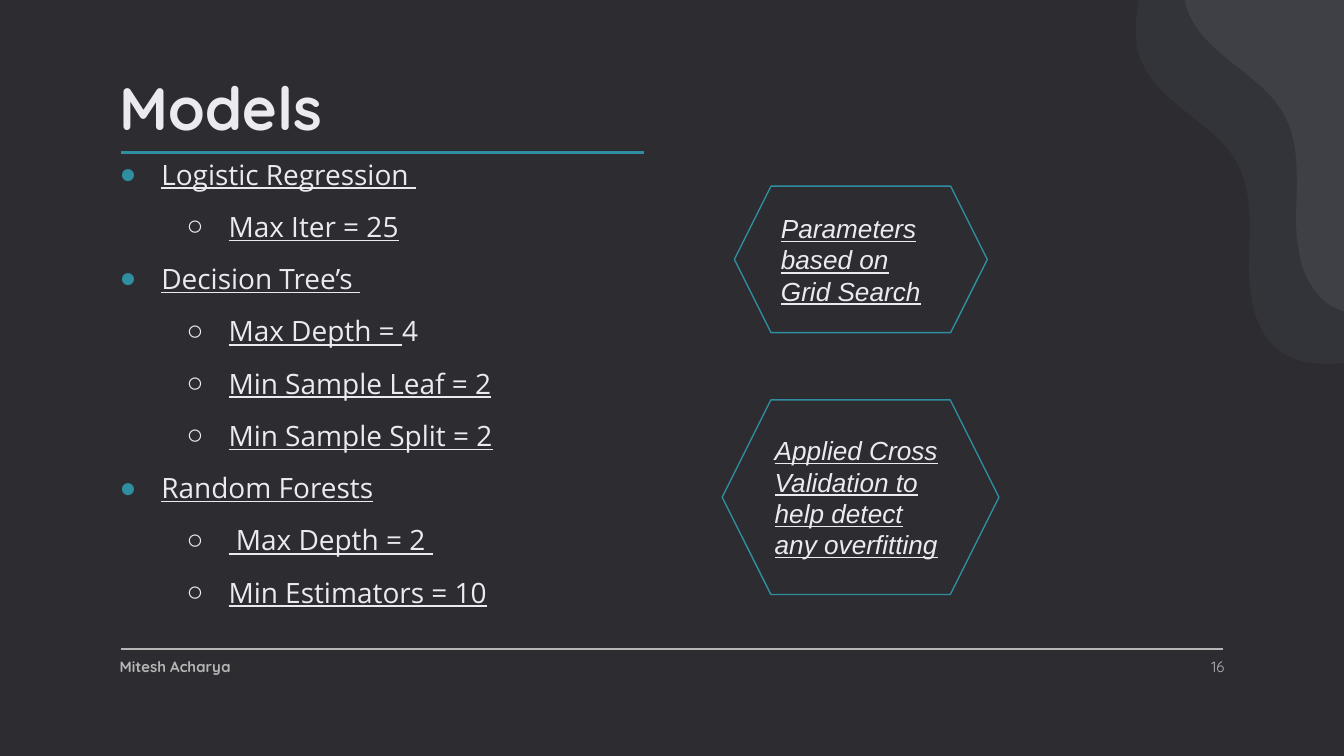
from lxml.etree import SubElement
from pptx import Presentation
from pptx.dml.color import RGBColor
from pptx.enum.shapes import MSO_CONNECTOR as CONN, MSO_SHAPE as SHAPE
from pptx.enum.text import MSO_ANCHOR as ANCHOR, PP_ALIGN as ALIGN
from pptx.oxml.ns import qn
from pptx.util import Cm, Pt

COLORS = {"bg": "2D2C31", "blob_dark": "333439", "blob_light": "3F4045",
          "grey": "B6B6B6", "teal": "2F8EA0", "text": "EBEAEF"}

BLOB_CORNERS = [(422, 0), (422, 701)]
BLOB_CURVES = [
    ((404, 704), (386, 706), (368, 706)),
    ((338, 706), (310, 701), (284, 686)),
    ((249, 663), (229, 620), (224, 579)),
    ((216, 536), (221, 495), (221, 452)),
    ((221, 409), (218, 366), (198, 328)),
    ((157, 249), (48, 216), (15, 130)),
    ((0, 91), (5, 46), (15, 3)),
]

MODELS = [
    ("Logistic Regression ", [[("Max Iter = 25", True)]]),
    ("Decision Tree’s ", [[("Max Depth = ", True), ("4", False)],
                          [("Min Sample Leaf = 2", True)],
                          [("Min Sample Split = 2", True)]]),
    ("Random Forests", [[(" Max Depth = 2 ", True)],
                        [("Min Estimators = 10", True)]]),
]


def rgb(name):
    """Return the named colour."""
    return RGBColor.from_string(COLORS[name])


def add_blob(s, x, y, color):
    """Draw one wavy corner blob with cubic curves."""
    corner, start = BLOB_CORNERS
    builder = s.shapes.build_freeform(*corner, scale=Cm(0.01))
    builder.add_line_segments([start] + [curve[2] for curve in BLOB_CURVES])
    sp = builder.convert_to_shape(Cm(x), Cm(y))
    sp.shadow.inherit = False
    sp.fill.solid()
    sp.fill.fore_color.rgb = rgb(color)
    sp.line.fill.background()
    path = next(sp._element.iter(qn("a:path")))
    segments = path.findall(qn("a:lnTo"))[1:]
    for segment, curve in zip(segments, BLOB_CURVES):
        cubic = path.makeelement(qn("a:cubicBezTo"))
        for px, py in curve:
            SubElement(cubic, qn("a:pt"), x=str(px), y=str(py))
        path.replace(segment, cubic)


def add_rule(s, x1, x2, y, color, width):
    """Draw a horizontal line."""
    line = s.shapes.add_connector(CONN.STRAIGHT, Cm(x1), Cm(y), Cm(x2), Cm(y))
    line.line.color.rgb = rgb(color)
    line.line.width = Pt(width)
    SubElement(line._element.spPr, qn("a:effectLst"))


def add_run(p, text, size, font, color="text", **style):
    """Append a formatted run to a paragraph."""
    r = p.add_run()
    r.text = text
    r.font.size, r.font.name = Pt(size), font
    r.font.color.rgb = rgb(color)
    for name, value in style.items():
        setattr(r.font, name, value)


def add_box(s, x, y, w, h, anchor=ANCHOR.TOP):
    """Add a wrapping text box and return its text frame."""
    tf = s.shapes.add_textbox(Cm(x), Cm(y), Cm(w), Cm(h)).text_frame
    tf.word_wrap = True
    tf.vertical_anchor = anchor
    tf.margin_left = tf.margin_right = tf.margin_top = tf.margin_bottom = Cm(0.25)
    return tf


def add_bullet(p, level, runs):
    """Fill a bulleted paragraph at the given level."""
    char, color, indent = [("●", "teal", 0.79), ("○", "text", 2.06)][level]
    p.level = level
    pPr = p._p.get_or_add_pPr()
    pPr.set("marL", str(Cm(indent)))
    pPr.set("indent", str(Cm(-0.79)))
    SubElement(SubElement(pPr, qn("a:buClr")), qn("a:srgbClr"), val=COLORS[color])
    SubElement(pPr, qn("a:buFont"), typeface="Arial")
    SubElement(pPr, qn("a:buChar"), char=char)
    for text, underline in runs:
        add_run(p, text, 15, "Open Sans", underline=underline)


def add_models(s):
    """List the models with their parameters."""
    tf = add_box(s, 2.01, 2.72, 9.37, 9.14)
    items = []
    for model, params in MODELS:
        items.append((0, [(model, True)]))
        items += [(1, runs) for runs in params]
    for i, (level, runs) in enumerate(items):
        p = tf.add_paragraph() if i else tf.paragraphs[0]
        if i:
            p.space_before = Pt(10)
        add_bullet(p, level, runs)


def add_hexagon(s, x, y, w, h, text):
    """Draw an outlined hexagon with a note."""
    sp = s.shapes.add_shape(SHAPE.HEXAGON, Cm(x), Cm(y), Cm(w), Cm(h))
    sp.shadow.inherit = False
    sp.fill.background()
    sp.line.color.rgb = rgb("teal")
    sp.line.width = Pt(0.75)
    p = sp.text_frame.paragraphs[0]
    p.alignment = ALIGN.LEFT
    add_run(p, text, 14, "Arial", italic=True, underline=True)


def main():
    """Build the slide."""
    prs = Presentation()
    prs.slide_width, prs.slide_height = Cm(25.4), Cm(14.29)
    s = prs.slides.add_slide(prs.slide_layouts[6])
    s.background.fill.solid()
    s.background.fill.fore_color.rgb = rgb("bg")

    add_blob(s, 21.26, -0.18, "blob_dark")
    add_blob(s, 22.15, -1.09, "blob_light")
    add_rule(s, 2.29, 23.11, 12.27, "grey", 0.75)

    title = add_box(s, 2.01, 1.09, 20.88, 1.65).paragraphs[0]
    add_run(title, "Models", 32, "Quicksand", bold=True)
    add_models(s)
    add_rule(s, 2.29, 12.17, 2.88, "teal", 1.5)

    author = add_box(s, 2.01, 12.39, 5.36, 0.43, ANCHOR.MIDDLE).paragraphs[0]
    add_run(author, "Mitesh Acharya", 8, "Quicksand", "grey", bold=True)
    number = add_box(s, 21.87, 12.39, 1.52, 0.43, ANCHOR.MIDDLE).paragraphs[0]
    number.alignment = ALIGN.RIGHT
    add_run(number, "16", 8, "Quicksand", "grey")

    add_hexagon(s, 13.65, 7.56, 5.23, 3.68,
                "Applied Cross Validation to help detect any overfitting")
    add_hexagon(s, 13.88, 3.52, 4.78, 2.77, "Parameters based on Grid Search")
    prs.save("out.pptx")


if __name__ == "__main__":
    main()
